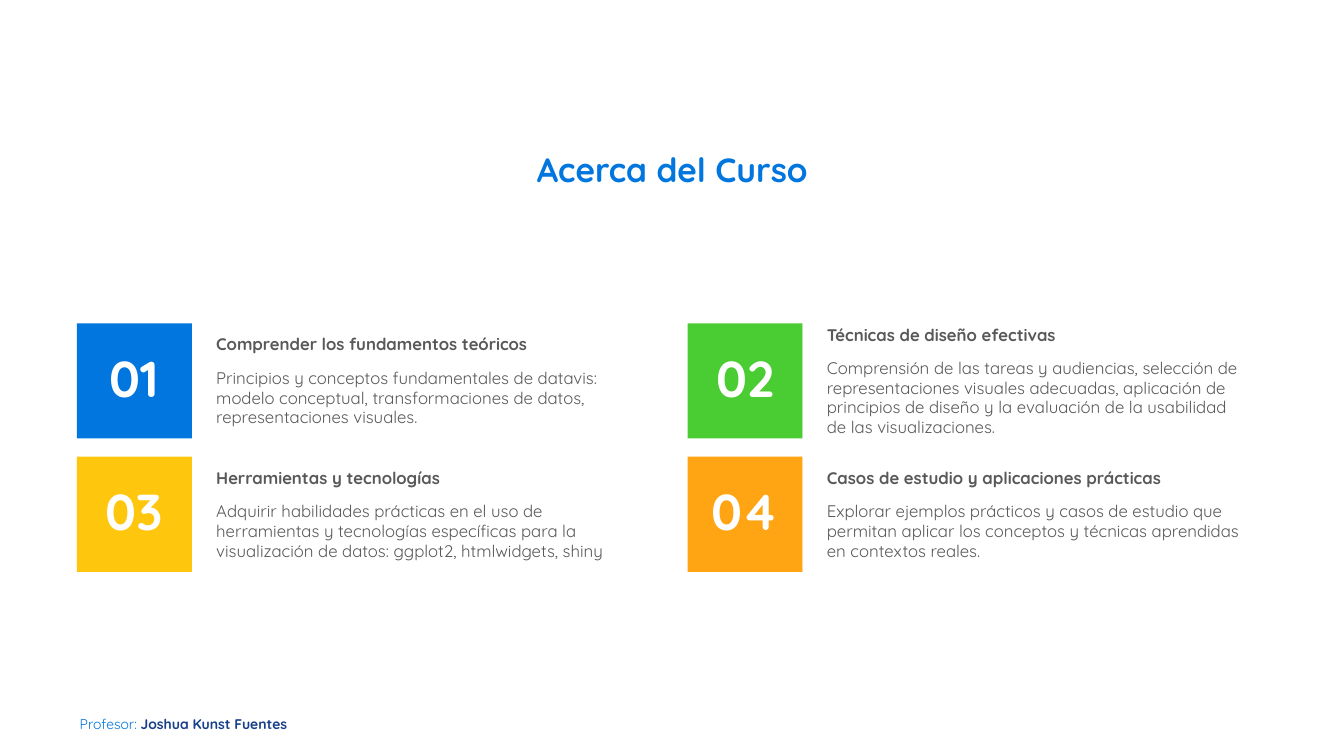
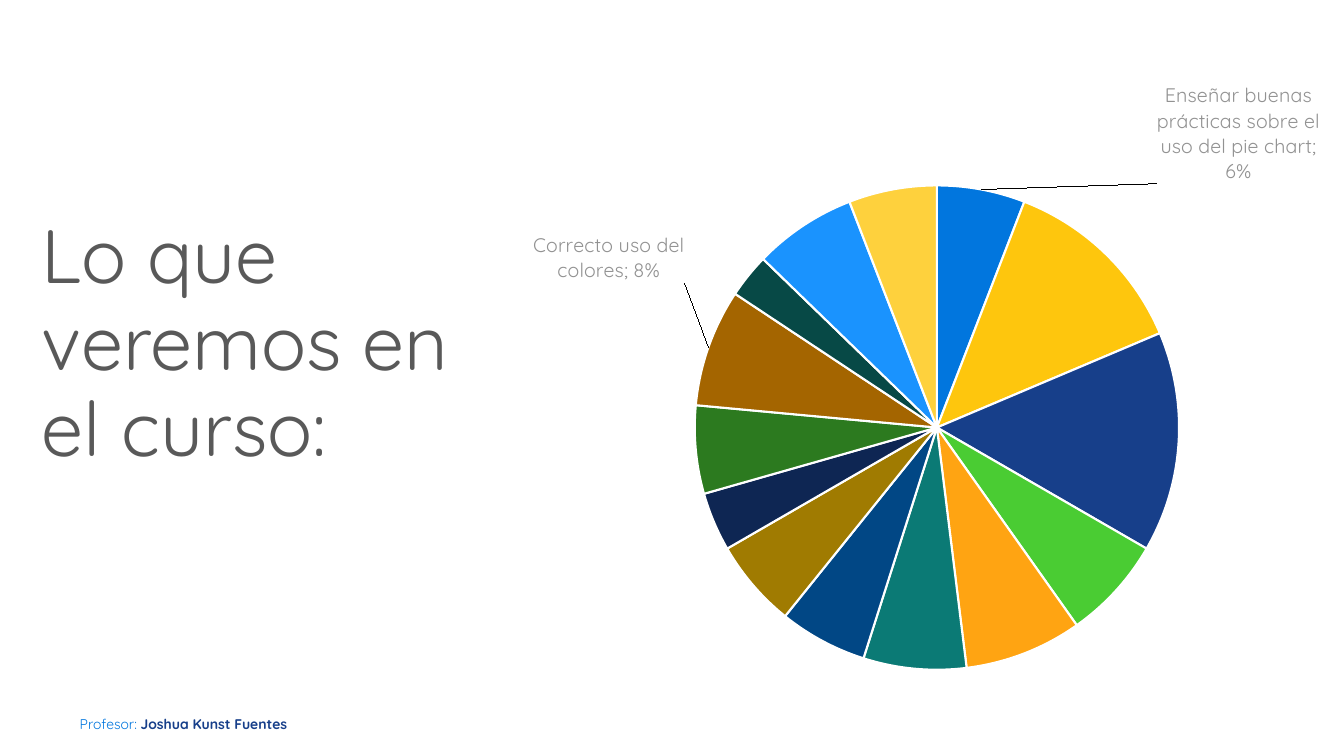
from dataclasses import dataclass

from lxml import etree
from pptx import Presentation
from pptx.chart import data
from pptx.dml.color import RGBColor
from pptx.enum import chart as charts, shapes, text
from pptx.oxml.ns import qn
from pptx.util import Cm, Pt


@dataclass(frozen=True)
class Theme:
    font: str = "Quicksand"
    white: str = "FFFFFF"
    blue: str = "0176DE"
    navy: str = "173F8A"
    gold: str = "FEC60D"
    green: str = "4ACC33"
    orange: str = "FFA412"
    grey: str = "595959"
    pale: str = "929292"
    foot: int = 10
    body: int = 12
    label: int = 14
    title: int = 24
    digit: int = 36
    hero: int = 54


T = Theme()

CARDS = [
    ("Comprender los fundamentos teóricos",
     "Principios y conceptos fundamentales de datavis: modelo conceptual, "
     "transformaciones de datos, representaciones visuales.", T.blue),
    ("Técnicas de diseño efectivas",
     "Comprensión de las tareas y audiencias, selección de representaciones "
     "visuales adecuadas, aplicación de principios de diseño y la evaluación "
     "de la usabilidad de las visualizaciones.", T.green),
    ("Herramientas y tecnologías",
     "Adquirir habilidades prácticas en el uso de herramientas y tecnologías "
     "específicas para la visualización de datos: ggplot2, htmlwidgets, shiny", T.gold),
    ("Casos de estudio y aplicaciones prácticas",
     "Explorar ejemplos prácticos y casos de estudio que permitan aplicar los "
     "conceptos y técnicas aprendidas en contextos reales.", T.orange),
]

SHARES = [6, 13, 15, 7, 8, 7, 6, 6, 4, 6, 8, 3, 7, 6]
HUES = [T.blue, T.gold, T.navy, T.green, T.orange, "0B7A75", "014785",
        "A07B01", "0E2653", "2C7A1F", "A46500", "074946", "1A93FE", "FED13D"]
# Slice index: label, then its shift as a share of the chart's size
LABELS = {
    0: ("Enseñar buenas prácticas sobre el uso del pie chart", 0.19, 0),
    10: ("Correcto uso del colores", -0.02, -0.1),
}


def style(font, size, color, bold=False):
    font.name, font.size, font.bold = T.font, Pt(size), bold
    font.color.rgb = RGBColor.from_string(color)


def pad(frame, gap):
    frame.margin_left = frame.margin_right = gap
    frame.margin_top = frame.margin_bottom = gap


def place(shape, left, top, width, height):
    shape.left, shape.top = Cm(left), Cm(top)
    shape.width, shape.height = Cm(width), Cm(height)


def add_foot(slide):
    """Write the footer once, on the layout that the slides share."""
    box = slide.shapes.add_textbox(Cm(2.01), Cm(17.68), Cm(5.56), Cm(0.66))
    frame = box.text_frame
    frame.word_wrap = True
    pad(frame, 0)
    para = frame.paragraphs[0]
    para.line_spacing = Pt(22)
    for words, color, bold in (("Profesor: ", T.blue, False),
                               ("Joshua Kunst Fuentes", T.navy, True)):
        run = para.add_run()
        run.text = words
        style(run.font, T.foot, color, bold)
    slide.slide_layout.shapes.element.append(box.element)


def set_title(slide, words, area, size, color, bold, align, anchor, space):
    title = slide.shapes.title
    place(title, *area)
    frame = title.text_frame
    frame.text = words
    frame.word_wrap = True
    frame.auto_size = text.MSO_AUTO_SIZE.NONE
    frame.vertical_anchor = anchor
    para = frame.paragraphs[0]
    para.alignment, para.line_spacing = align, space
    style(para.runs[0].font, size, color, bold)
    return frame


def add_box(slide, area, fill):
    box = slide.shapes.add_shape(shapes.MSO_SHAPE.RECTANGLE, 0, 0, 0, 0)
    place(box, *area)
    box.shadow.inherit = False
    box.fill.solid()
    box.fill.fore_color.rgb = RGBColor.from_string(fill)
    box.line.fill.background()
    box.text_frame.word_wrap = True
    box.text_frame.vertical_anchor = text.MSO_ANCHOR.MIDDLE
    return box.text_frame


def add_card(slide, left, top, digits, head, body, color):
    side = 2.9
    para = add_box(slide, (left, top, side, side), color).paragraphs[0]
    para.text = digits
    para.alignment, para.line_spacing = text.PP_ALIGN.CENTER, 0.9
    style(para.runs[0].font, T.digit, T.white, True)

    frame = add_box(slide, (left + side, top, 11.71, side), T.white)
    pad(frame, Cm(0.61))
    frame.text = f"{head}\n{body}"
    for row, para in enumerate(frame.paragraphs):
        para.alignment, para.line_spacing = text.PP_ALIGN.LEFT, Pt(14)
        para.space_before = Pt(10 * row)
        style(para.runs[0].font, T.body, T.grey, row == 0)


def put(parent, tag, value=None):
    node = etree.SubElement(parent, qn(f"c:{tag}"))
    if value is not None:
        node.set("val", str(value))
    return node


def set_plot(chart, x, y, w, h):
    """Fix the inner plot area, in shares of the chart's size."""
    area = chart.plots[0]._element.getparent()
    for old in area.findall(qn("c:layout")):
        area.remove(old)
    node = put(area, "layout")
    area.insert(0, node)
    spot = put(node, "manualLayout")
    for tag, value in (("layoutTarget", "inner"), ("xMode", "edge"), ("yMode", "edge"),
                       ("x", x), ("y", y), ("w", w), ("h", h)):
        put(spot, tag, value)


def set_label(point, dx, dy):
    """Show category and percentage, moved away from the slice."""
    label = point.data_label
    style(label.font, T.label, T.pale)
    label.position = charts.XL_LABEL_POSITION.OUTSIDE_END
    node = label._get_or_add_dLbl()
    spot = put(node, "layout")
    node.insert(1, spot)
    shift = put(spot, "manualLayout")
    put(shift, "x", dx)
    put(shift, "y", dy)
    for tag in ("LegendKey", "Val", "CatName", "SerName", "Percent", "BubbleSize"):
        flag = node.find(qn(f"c:show{tag}"))
        flag.set("val", "1" if tag in ("CatName", "Percent") else "0")
    put(node, "separator").text = "; "


def add_pie(slide):
    info = data.CategoryChartData()
    info.categories = [LABELS[i][0] if i in LABELS else str(i + 1)
                       for i in range(len(SHARES))]
    info.add_series("Series 1", SHARES)
    chart = slide.shapes.add_chart(charts.XL_CHART_TYPE.PIE, Cm(10.77), Cm(1.7),
                                   Cm(23.14), Cm(15.65), info).chart
    style(chart.font, T.foot, T.grey)
    chart.has_title = chart.has_legend = False
    plot = chart.plots[0]
    plot.vary_by_categories = True
    set_plot(chart, 0.29, 0.19, 0.53, 0.78)
    points = plot.series[0].points
    for i, hue in enumerate(HUES):
        look = points[i].format
        look.fill.solid()
        look.fill.fore_color.rgb = RGBColor.from_string(hue)
        look.line.color.rgb = RGBColor.from_string(T.white)
        look.line.width = Pt(1.5)
    for i, (_, dx, dy) in LABELS.items():
        set_label(points[i], dx, dy)
    labels = plot.series[0].data_labels
    labels.show_value = False
    lead = labels._element.find(qn("c:showLeaderLines"))
    if lead is None:
        lead = put(labels._element, "showLeaderLines")
    lead.set("val", "1")


def add_goals(slide):
    frame = set_title(slide, "Acerca del Curso", (6.45, 3.81, 20.98, 1.73), T.title,
                      T.blue, True, text.PP_ALIGN.CENTER, text.MSO_ANCHOR.TOP, Pt(27))
    pad(frame, 0)
    for i, card in enumerate(CARDS):
        row, col = divmod(i, 2)
        add_card(slide, 1.94 + 15.39 * col, 8.15 + 3.36 * row, f"{i + 1:02}", *card)


def add_topics(slide):
    add_pie(slide)
    set_title(slide, "Lo que veremos en el curso:", (0.79, 3.15, 11.58, 11.05), T.hero,
              T.grey, False, text.PP_ALIGN.LEFT, text.MSO_ANCHOR.MIDDLE, 0.95)


def main():
    deck = Presentation()
    deck.slide_width, deck.slide_height = Cm(33.87), Cm(19.05)
    layout = deck.slide_layouts[5]
    goals, topics = (deck.slides.add_slide(layout) for _ in range(2))
    add_foot(goals)
    add_goals(goals)
    add_topics(topics)
    deck.save("out.pptx")


if __name__ == "__main__":
    main()
